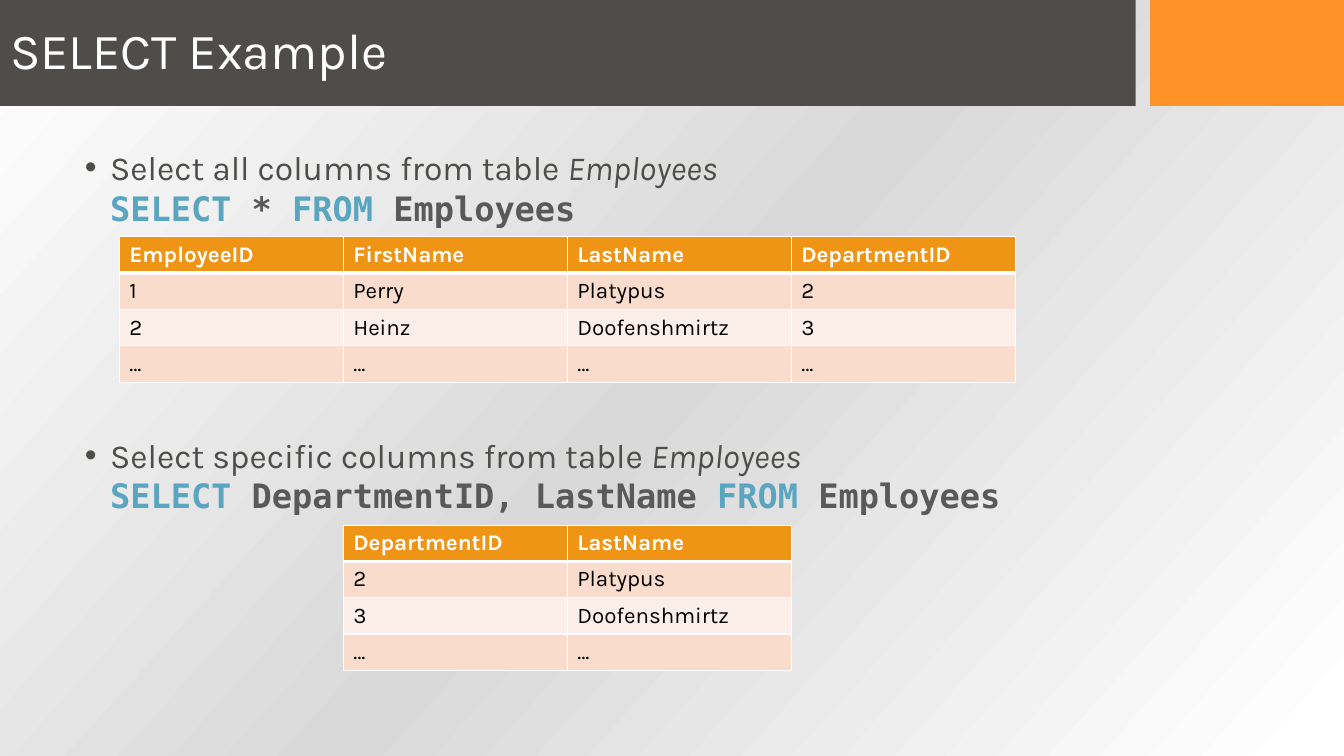
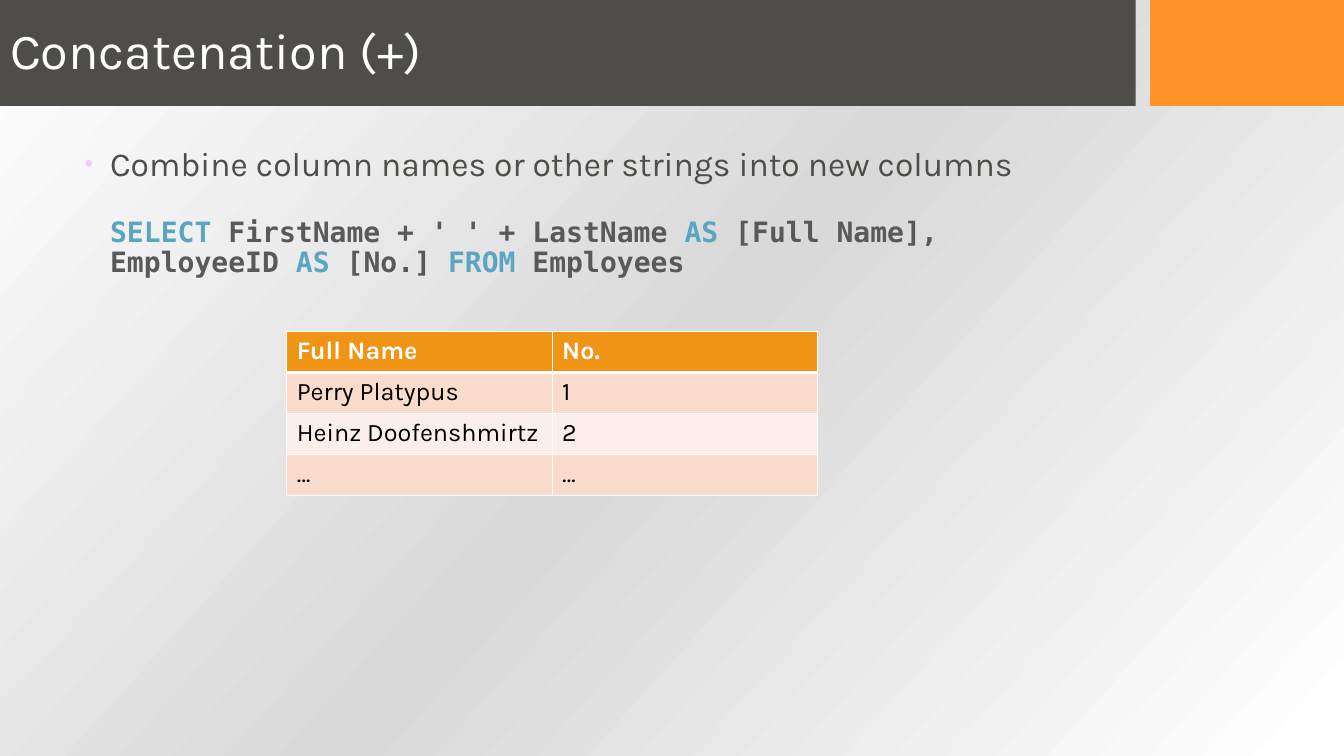
from itertools import groupby

from lxml import etree
from pptx import Presentation
from pptx.dml.color import RGBColor
from pptx.enum.shapes import MSO_SHAPE
from pptx.enum.text import MSO_ANCHOR, MSO_AUTO_SIZE, PP_ALIGN
from pptx.oxml import parse_xml
from pptx.oxml.ns import nsdecls, qn
from pptx.util import Inches, Pt

RECTANGLE = MSO_SHAPE.RECTANGLE
MIDDLE, TOP = MSO_ANCHOR.MIDDLE, MSO_ANCHOR.TOP
LEFT = PP_ALIGN.LEFT
NO_FIT = MSO_AUTO_SIZE.NONE

COLORS = {
    "white": "FFFFFF", "black": "000000", "gray": "D9D9D9",
    "dark": "4E4D4A", "orange": "FF9228", "lilac": "EDCBFD",
    "keyword": "5AA6C0", "code": "595959",
    "header": "F09415", "odd": "F9DCCC", "even": "FCEEE8",
}
TEXT_FONT, CODE_FONT = "Karla", "DejaVu Sans Mono"
KEYWORDS = {"SELECT", "FROM", "AS"}
COLUMNS, ROWS = 120, 75
TITLE_ONLY = 5


def rgb(name):
    return RGBColor.from_string(COLORS[name])


def write(para, text, size=24, color="dark", font=TEXT_FONT, bold=False, italic=False):
    """Add text to a paragraph; a newline becomes a line break."""
    for number, line in enumerate(text.split("\n")):
        if number:
            para.add_line_break()
        if line:
            span = para.add_run()
            span.text = line
            span.font.size = Pt(size)
            span.font.name = font
            span.font.bold = bold
            span.font.italic = italic
            span.font.color.rgb = rgb(color)


def write_code(para, text, size=24):
    """Add a query with its keywords highlighted."""
    groups = groupby(text.split(" "), key=lambda word: word in KEYWORDS)
    for number, (is_keyword, words) in enumerate(groups):
        lead = " " if number else ""
        write(para, lead + " ".join(words), size=size, font=CODE_FONT, bold=True,
              color="keyword" if is_keyword else "code")


class Slides:
    """The deck's style and the slide being built."""

    def __init__(self):
        self.deck = Presentation()
        self.deck.slide_width, self.deck.slide_height = Inches(13.33), Inches(7.5)
        self.page = None
        self.set_background()

    def x(self, columns):
        return round(self.deck.slide_width * columns / COLUMNS)

    def y(self, rows):
        return round(self.deck.slide_height * rows / ROWS)

    def place(self, left, top, width, height):
        return self.x(left), self.y(top), self.x(width), self.y(height)

    def set_background(self):
        master = self.deck.slide_master
        master.background.fill.solid()
        stops = "".join(
            f'<a:gs pos="{share * 1000}"><a:srgbClr val="{COLORS[name]}"/></a:gs>'
            for share, name in ((0, "white"), (50, "gray"), (98, "white")))
        gradient = parse_xml(
            f'<a:gradFill {nsdecls("a")} rotWithShape="1"><a:gsLst>{stops}</a:gsLst>'
            f'<a:lin ang="{42 * 60000}" scaled="0"/></a:gradFill>')
        solid = master.element.find(".//" + qn("p:bgPr")).find(qn("a:solidFill"))
        solid.getparent().replace(solid, gradient)

    def add_page(self, title):
        self.page = self.deck.slides.add_slide(self.deck.slide_layouts[TITLE_ONLY])
        self.band(0, 101.4, "dark")
        self.band(102.7, 17.3, "orange")
        box = self.page.shapes.title
        box.left, box.top, box.width, box.height = self.place(0, 0, 101.4, 10.5)
        frame = box.text_frame
        frame.auto_size, frame.vertical_anchor = NO_FIT, MIDDLE
        para = frame.paragraphs[0]
        para.alignment, para.line_spacing = LEFT, 0.9
        write(para, title, size=36, color="white")

    def band(self, left, width, color):
        shape = self.page.shapes.add_shape(RECTANGLE, *self.place(left, 0, width, 10.5))
        shape.shadow.inherit = False
        shape.fill.solid()
        shape.fill.fore_color.rgb = rgb(color)
        shape.line.fill.background()
        self.page.shapes.title.element.addprevious(shape.element)

    def body(self):
        box = self.page.shapes.add_textbox(*self.place(6.7, 14.1, 94.6, 54.9))
        frame = box.text_frame
        frame.word_wrap, frame.auto_size, frame.vertical_anchor = True, NO_FIT, TOP
        return frame

    def paragraph(self, frame, before=0, spacing=1.0, bullet=None, percent=100):
        """Start an indented paragraph; bullet names the color of its mark."""
        first = frame.paragraphs[0]
        para = frame.add_paragraph() if first.runs else first
        para.alignment, para.line_spacing = LEFT, spacing
        para.space_before = Pt(before)
        properties = para._p.get_or_add_pPr()
        properties.set("marL", str(Inches(0.25)))
        properties.set("indent", str(-Inches(0.25) if bullet else 0))
        if bullet:
            color = etree.SubElement(properties, qn("a:buClr"))
            etree.SubElement(color, qn("a:srgbClr"), val=COLORS[bullet])
            etree.SubElement(properties, qn("a:buSzPct"), val=str(percent * 1000))
            etree.SubElement(properties, qn("a:buFont"), typeface="Arial")
            etree.SubElement(properties, qn("a:buChar"), char="•")
        return para

    def table(self, left, top, column, row, records, size=16):
        count, width = len(records), len(records[0])
        frame = self.page.shapes.add_table(
            count, width, *self.place(left, top, column * width, row * count))
        table = frame.table
        for line in table.columns:
            line.width = self.x(column)
        for line in table.rows:
            line.height = self.y(row)
        for r, record in enumerate(records):
            fill = "header" if r == 0 else "odd" if r % 2 else "even"
            for c, text in enumerate(record):
                cell = table.cell(r, c)
                write(cell.text_frame.paragraphs[0], text, size=size, bold=r == 0,
                      color="black" if r else "white")
                self.borders(cell, top=3 if r == 1 else 1, bottom=1 if r else 3)
                cell.fill.solid()
                cell.fill.fore_color.rgb = rgb(fill)

    def borders(self, cell, top, bottom):
        properties = cell._tc.get_or_add_tcPr()
        for side, points in (("L", 1), ("R", 1), ("T", top), ("B", bottom)):
            line = etree.SubElement(properties, qn("a:ln" + side), w=str(Pt(points)))
            fill = etree.SubElement(line, qn("a:solidFill"))
            etree.SubElement(fill, qn("a:srgbClr"), val=COLORS["white"])


def select_example(slides):
    slides.add_page("SELECT Example")
    frame = slides.body()
    queries = (
        (0, "all", "SELECT * FROM Employees"),
        (148, "specific", "SELECT DepartmentID, LastName FROM Employees"),
    )
    for before, choice, query in queries:
        para = slides.paragraph(frame, before=before, bullet="dark")
        write(para, f"Select {choice} columns from table ")
        write(para, "Employees\n", italic=True)
        write_code(para, query)

    employees = [
        ("EmployeeID", "FirstName", "LastName", "DepartmentID"),
        ("1", "Perry", "Platypus", "2"),
        ("2", "Heinz", "Doofenshmirtz", "3"),
        ("…",) * 4,
    ]
    selected = [(record[3], record[2]) for record in employees]
    slides.table(10.65, 23.5, 20, 3.6, employees)
    slides.table(30.65, 52.1, 20, 3.6, selected)


def concatenation(slides):
    slides.add_page("Concatenation (+)")
    frame = slides.body()
    para = slides.paragraph(frame, spacing=0.9, bullet="lilac", percent=70)
    write(para, "Combine column names or other strings into new columns")
    para = slides.paragraph(frame, before=25, spacing=0.9)
    write_code(para, "SELECT FirstName + ' ' + LastName AS [Full Name],\n"
                     "EmployeeID AS [No.] FROM Employees", size=20)
    slides.table(25.6, 32.9, 23.7, 4.06, [
        ("Full Name", "No."),
        ("Perry Platypus", "1"),
        ("Heinz Doofenshmirtz", "2"),
        ("…", "…"),
    ], size=18)


def main():
    slides = Slides()
    select_example(slides)
    concatenation(slides)
    slides.deck.save("out.pptx")


if __name__ == "__main__":
    main()
